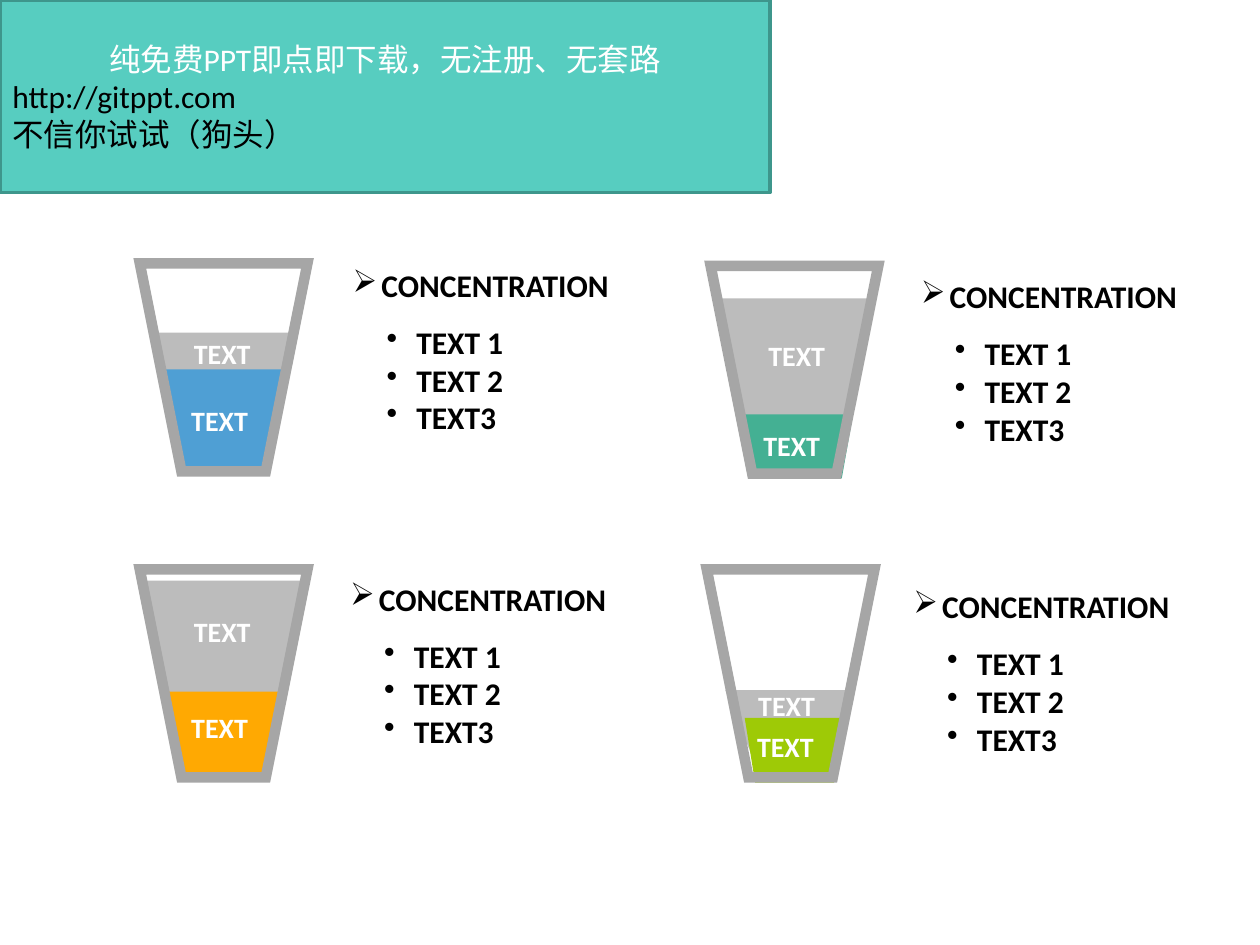
from lxml.etree import SubElement
from pptx import Presentation
from pptx.dml.color import RGBColor
from pptx.enum.shapes import MSO_SHAPE
from pptx.enum.text import MSO_ANCHOR, MSO_AUTO_SIZE, PP_ALIGN
from pptx.oxml.ns import qn
from pptx.util import Pt

COLORS = {
    "banner": "57CDC0", "banner_edge": "3E968C", "glass": "A6A6A6",
    "grey": "BCBCBC", "blue": "4F9FD4", "orange": "FFA902",
    "green": "44B093", "lime": "9ECA06", "white": "FFFFFF", "black": "000000",
}
FONT = "Calibri"

BANNER_BOX = (0, 0, 440, 110)
BANNER_LINES = [
    ("纯免费PPT即点即下载，无注册、无套路", "white", PP_ALIGN.CENTER),
    ("http://gitppt.com", "black", PP_ALIGN.LEFT),
    ("不信你试试（狗头）", "black", PP_ALIGN.LEFT),
]

HEADING = "CONCENTRATION"
ITEMS = ["TEXT 1", "TEXT 2", "TEXT3"]
LABEL = "TEXT"

# Layers run from back to front: colour, left, top, width, height, inset at the foot
CUPS = [
    {"glass": (79.9, 150.5), "heading": (194.4, 148.3),
     "layers": [("blue", 95, 211.7, 66.6, 54.7, 13.7),
                ("grey", 91.4, 193, 74.2, 15.1, 2.9)],
     "labels": [(103.7, 188.6), (102.2, 226.8)]},
    {"glass": (79.9, 325.4), "heading": (193, 327.6),
     "layers": [("grey", 86.2, 334.8, 84, 103.7, 20.9),
                ("orange", 97.2, 398.2, 61.2, 40.3, 10.1)],
     "labels": [(103.7, 347.8), (102.2, 402.5)]},
    {"glass": (406.1, 151.9), "heading": (519.1, 154.8),
     "layers": [("grey", 411.1, 173.5, 82.8, 89.3, 20.5),
                ("green", 427.7, 239.8, 56.2, 30.6, 5.4)],
     "labels": [(432, 190.1), (429.1, 241.2)]},
    {"glass": (403.9, 325.4), "heading": (514.8, 331.9),
     "layers": [("grey", 419, 397.4, 64.8, 41, 16.6),
                ("lime", 429.1, 413.3, 50, 31, 5)],
     "labels": [(426.2, 390.2), (425.5, 413.3)]},
]
GLASS_SIZE = (95.8, 118.8, 23.8)
LABEL_SIZE = (51.1, 26.6)
HEADING_SIZE = (172, 29)
LIST_SIZE = (137.5, 72)
LIST_OFFSET = (19.4, 32.7)
EDGE_WIDTH = 6


def rgb(name):
    return RGBColor.from_string(COLORS[name])


def style_paragraph(paragraph, size, color, bold):
    for name, value in {"name": FONT, "size": Pt(size), "bold": bold}.items():
        setattr(paragraph.font, name, value)
    paragraph.font.color.rgb = rgb(color)


def add_bullet(paragraph, character, indent):
    properties = paragraph._p.get_or_add_pPr()
    properties.set("marL", str(Pt(indent)))
    properties.set("indent", str(-Pt(indent)))
    bullet_color = SubElement(properties, qn("a:buClr"))
    SubElement(bullet_color, qn("a:srgbClr"), val=COLORS["black"])
    SubElement(properties, qn("a:buChar"), char=character)


def add_text(shapes, position, size, lines, font_size, color, bullet=None):
    box = shapes.add_textbox(*map(Pt, position + size))
    frame = box.text_frame
    frame.word_wrap = True
    frame.auto_size = MSO_AUTO_SIZE.SHAPE_TO_FIT_TEXT
    frame.text = "\n".join(lines)
    for paragraph in frame.paragraphs:
        if bullet:
            add_bullet(paragraph, *bullet)
        style_paragraph(paragraph, font_size, color, True)


def add_trapezoid(shapes, left, top, width, height, inset, color, filled=True):
    """Draw a trapezoid, wide at the top, with sharp outline corners."""
    right, bottom = left + width, top + height
    corners = [(right, top), (right - inset, bottom),
               (left + inset, bottom), (left, top)]
    points = [(Pt(x), Pt(y)) for x, y in corners]
    builder = shapes.build_freeform(*points[0])
    builder.add_line_segments(points[1:], close=True)
    shape = builder.convert_to_shape()
    shape.shadow.inherit = False
    if filled:
        shape.fill.solid()
        shape.fill.fore_color.rgb = rgb(color)
    else:
        shape.fill.background()
    shape.line.color.rgb = rgb(color)
    shape.line.width = Pt(EDGE_WIDTH)
    SubElement(shape.line._get_or_add_ln(), qn("a:miter"), lim="800000")


def add_cup(slide, cup):
    shapes = slide.shapes.add_group_shape().shapes
    for color, *geometry in cup["layers"]:
        add_trapezoid(shapes, *geometry, color)
    add_trapezoid(shapes, *cup["glass"], *GLASS_SIZE, "glass", filled=False)
    for position in cup["labels"]:
        add_text(shapes, position, LABEL_SIZE, [LABEL], 16, "white")


def add_notes_beside(slide, heading_position):
    list_position = tuple(a + b for a, b in zip(heading_position, LIST_OFFSET))
    add_text(slide.shapes, list_position, LIST_SIZE, ITEMS, 18, "black", ("•", 17))
    add_text(slide.shapes, heading_position, HEADING_SIZE, [HEADING], 18,
             "black", ("➢", 16.5))


def add_banner(slide):
    banner = slide.shapes.add_shape(MSO_SHAPE.RECTANGLE, *map(Pt, BANNER_BOX))
    banner.shadow.inherit = False
    banner.fill.solid()
    banner.fill.fore_color.rgb = rgb("banner")
    banner.line.color.rgb = rgb("banner_edge")
    banner.line.width = Pt(2)
    frame = banner.text_frame
    frame.word_wrap = True
    frame.vertical_anchor = MSO_ANCHOR.MIDDLE
    frame.text = "\n".join(text for text, _, _ in BANNER_LINES)
    for paragraph, (_, color, alignment) in zip(frame.paragraphs, BANNER_LINES):
        paragraph.alignment = alignment
        style_paragraph(paragraph, 18, color, False)


def main():
    presentation = Presentation()
    presentation.slide_width, presentation.slide_height = Pt(720), Pt(540)
    slide = presentation.slides.add_slide(presentation.slide_layouts[6])
    for cup in CUPS:
        add_cup(slide, cup)
    for cup in CUPS:
        add_notes_beside(slide, cup["heading"])
    add_banner(slide)
    presentation.save("out.pptx")


if __name__ == "__main__":
    main()
